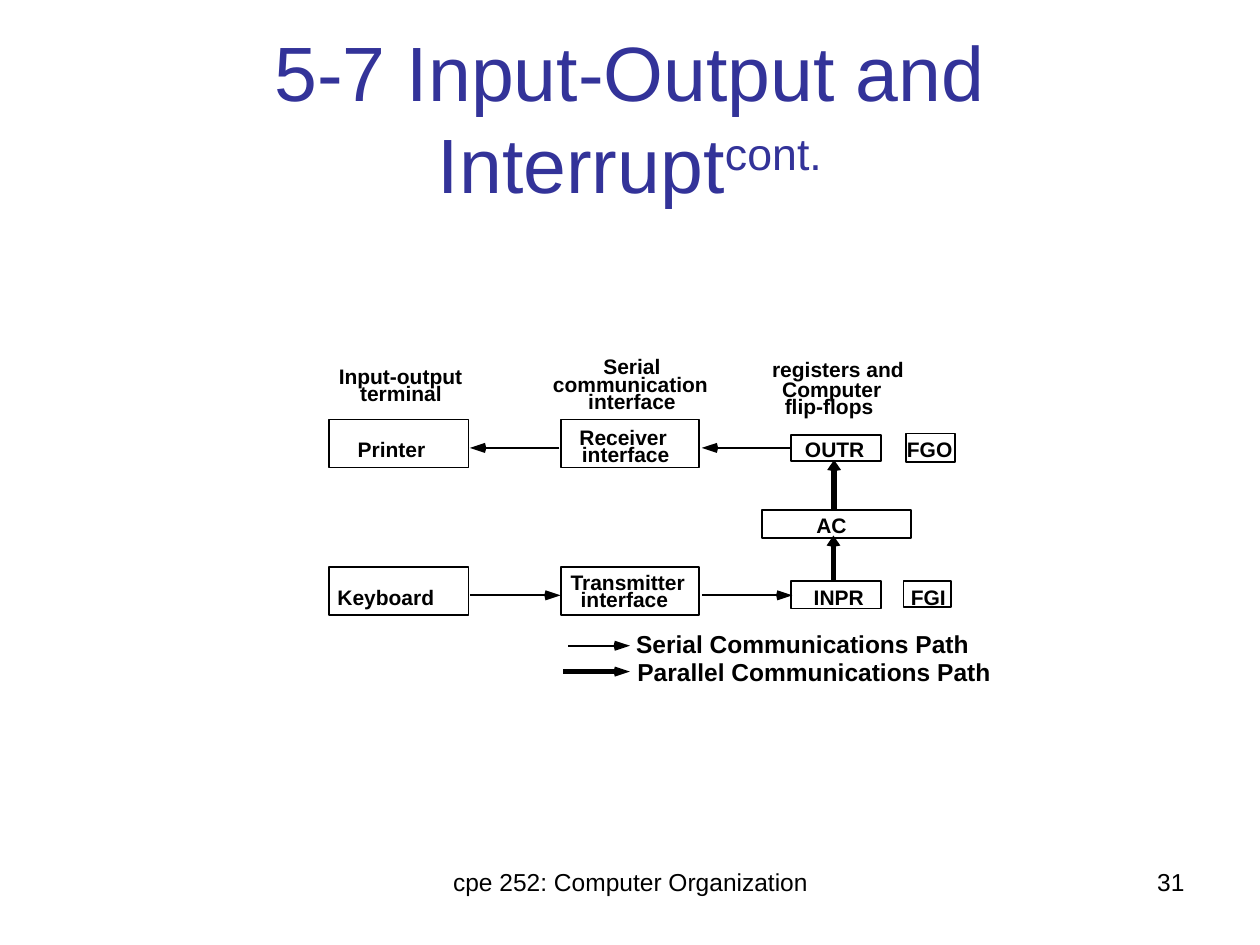
from lxml.etree import SubElement
from pptx import Presentation
from pptx.dml.color import RGBColor
from pptx.enum.shapes import MSO_CONNECTOR, MSO_SHAPE
from pptx.enum.text import MSO_ANCHOR, MSO_AUTO_SIZE, PP_ALIGN
from pptx.oxml.ns import qn
from pptx.util import Inches, Pt

COLORS = {"title": "333399", "ink": "000000"}
TITLE_FONT = {"name": "Arial", "size": Pt(44), "bold": False}
LABEL_FONT = {"name": "Arial", "size": Pt(12), "bold": True}
LEGEND_FONT = {"name": "Arial", "size": Pt(14), "bold": True}
FOOTER_FONT = {"name": "Arial", "size": Pt(14), "bold": False}

presentation = Presentation()
presentation.slide_width, presentation.slide_height = Inches(10), Inches(7.5)
slide = presentation.slides.add_slide(presentation.slide_layouts[5])
shapes = slide.shapes

# Square grid: 1000 columns by 750 rows
CELL = presentation.slide_width // 1000


def format_font(font, values, color):
    for name, value in values.items():
        setattr(font, name, value)
    font.color.rgb = RGBColor.from_string(COLORS[color])


def add_text(text, place, font_values, align=PP_ALIGN.LEFT, label=True):
    frame = shapes.add_textbox(*(CELL * cells for cells in place)).text_frame
    frame.word_wrap = not label
    frame.auto_size = MSO_AUTO_SIZE.SHAPE_TO_FIT_TEXT if label else MSO_AUTO_SIZE.NONE
    paragraph = frame.paragraphs[0]
    paragraph.alignment = align
    paragraph.line_spacing = 0.9 if label else 1.0
    run = paragraph.add_run()
    run.text = text
    format_font(run.font, font_values, "ink")


# Title with a raised "cont."
title = shapes.title
title.left, title.top, title.width, title.height = (CELL * cells for cells in (50, 30, 900, 125))
title_frame = title.text_frame
title_frame.auto_size = MSO_AUTO_SIZE.NONE
title_frame.vertical_anchor = MSO_ANCHOR.MIDDLE
title_paragraph = title_frame.paragraphs[0]
title_paragraph.alignment = PP_ALIGN.CENTER
for text in ("5-7 Input-Output and Interrupt", "cont."):
    run = title_paragraph.add_run()
    run.text = text
    format_font(run.font, TITLE_FONT, "title")
run.font._element.set("baseline", "30000")

# Footer and slide number
add_text("cpe 252: Computer Organization", (342, 683, 317, 52), FOOTER_FONT, PP_ALIGN.CENTER, False)
add_text("31", (717, 683, 233, 52), FOOTER_FONT, PP_ALIGN.RIGHT, False)

# Boxes of the diagram: left, top, width, height
BOXES = {
    "Printer": (261, 333, 111, 38),
    "Receiver": (445, 333, 110, 38),
    "OUTR": (628, 345, 71, 21),
    "FGO": (719, 344, 39, 23),
    "AC": (605, 405, 118, 22),
    "Keyboard": (261, 450, 111, 38),
    "Transmitter": (445, 450, 110, 38),
    "INPR": (628, 461, 71, 22),
    "FGI": (717, 461, 38, 21),
}
boxes = {}
for name, place in BOXES.items():
    box = shapes.add_shape(MSO_SHAPE.RECTANGLE, *(CELL * cells for cells in place))
    box.shadow.inherit = False
    box.fill.background()
    box.line.width = Pt(1)
    box.line.color.rgb = RGBColor.from_string(COLORS["ink"])
    boxes[name] = box

# Column headings and box labels
LABELS = [
    ("Input-output", 259, 286, 119, 46),
    ("terminal", 276, 299, 86, 28),
    ("Serial", 469, 278, 67, 46),
    ("communication", 429, 292, 144, 46),
    ("interface", 457, 306, 91, 28),
    ("registers and", 603, 280, 126, 46),
    ("Computer", 611, 296, 100, 46),
    ("flip-flops", 613, 310, 91, 28),
    ("Printer", 274, 344, 75, 28),
    ("Keyboard", 258, 461, 98, 28),
    ("Receiver", 450, 334, 91, 46),
    ("interface", 452, 348, 91, 28),
    ("Transmitter", 443, 449, 113, 46),
    ("interface", 451, 463, 91, 28),
    ("FGO", 710, 344, 57, 28),
    ("OUTR", 629, 344, 68, 28),
    ("AC", 638, 404, 45, 28),
    ("INPR", 636, 461, 61, 28),
    ("FGI", 713, 461, 49, 28),
]
for text, *place in LABELS:
    add_text(text, place, LABEL_FONT)

# Legend captions
add_text("Serial Communications Path", (495, 497, 286, 31), LEGEND_FONT)
add_text("Parallel Communications Path", (496, 519, 302, 31), LEGEND_FONT)

# Arrows: start, tip, line width, box joined at its left side
LEFT = 1
ARROWS = [
    ((444, 355.5), (373, 355.5), 1, None),
    ((628, 355.5), (557, 355.5), 1, "OUTR"),
    ((373, 472.5), (445, 472.5), 1, None),
    ((557, 472.5), (629, 472.5), 1, None),
    ((662, 405), (662, 365), 3, None),
    ((661.5, 460), (661.5, 425), 3, None),
    ((451, 512.5), (500, 512.5), 1, None),
    ((447, 533), (500, 533), 3, None),
]
for (start_x, start_y), (tip_x, tip_y), weight, joined in ARROWS:
    step_x = (tip_x > start_x) - (tip_x < start_x)
    step_y = (tip_y > start_y) - (tip_y < start_y)
    length, half_width = (13, 4) if step_x else (9, 5.5)

    # Shaft ends inside the head
    inset = length - 2
    ends = (start_x, start_y, tip_x - inset * step_x, tip_y - inset * step_y)
    shaft = shapes.add_connector(MSO_CONNECTOR.STRAIGHT, *(int(CELL * cells) for cells in ends))
    shaft.line.width = Pt(weight)
    shaft.line.color.rgb = RGBColor.from_string(COLORS["ink"])
    SubElement(shaft._element.spPr, qn("a:effectLst"))
    if joined:
        shaft.begin_connect(boxes[joined], LEFT)

    # Head with a slightly bulging back
    corners = [
        (CELL * (tip_x - back * step_x + side * step_y), CELL * (tip_y - back * step_y + side * step_x))
        for back, side in ((0, 0), (length - 1, half_width), (length, 0), (length - 1, -half_width))
    ]
    builder = shapes.build_freeform(*corners[0])
    builder.add_line_segments(corners[1:], close=True)
    head = builder.convert_to_shape()
    head.shadow.inherit = False
    head.fill.solid()
    head.fill.fore_color.rgb = RGBColor.from_string(COLORS["ink"])
    head.line.fill.background()

presentation.save("out.pptx")
